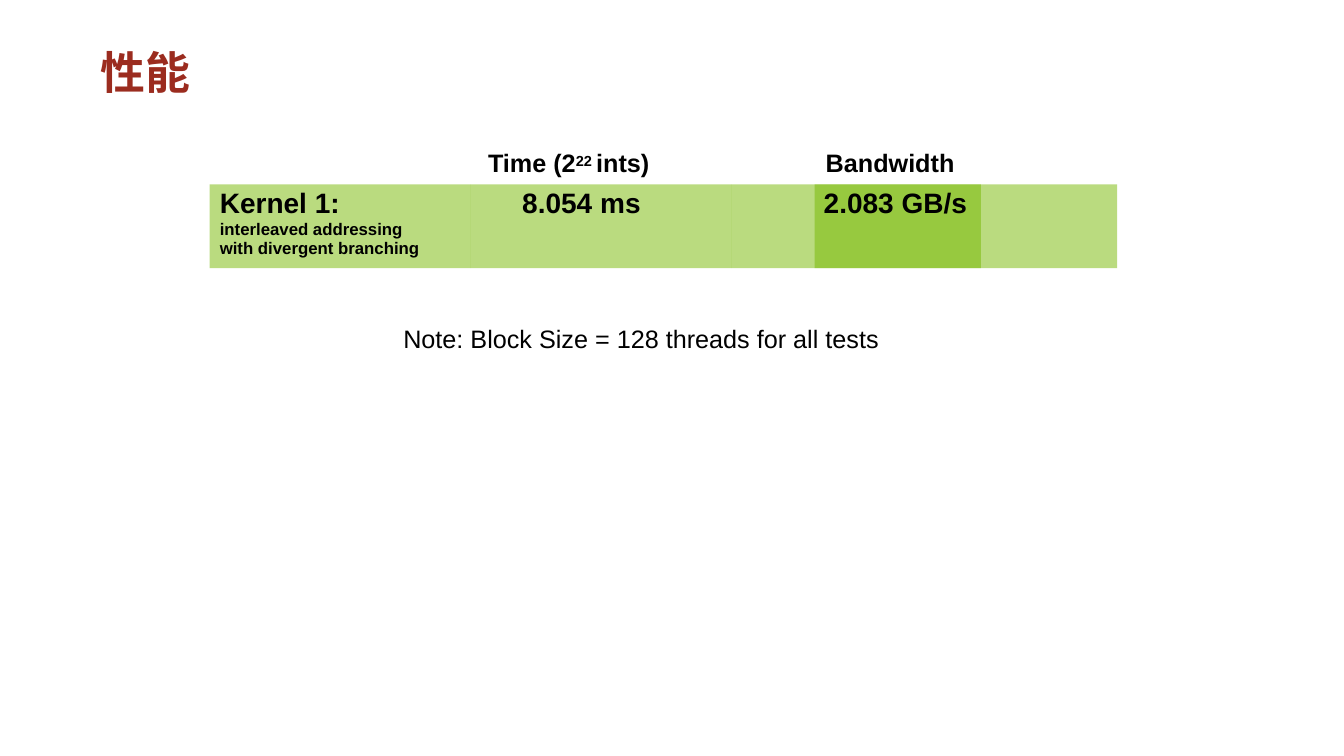
from dataclasses import dataclass

from lxml import etree
from pptx import Presentation
from pptx.dml.color import RGBColor
from pptx.enum.shapes import MSO_SHAPE
from pptx.enum.text import MSO_ANCHOR, PP_ALIGN
from pptx.oxml.ns import qn
from pptx.util import Inches, Pt

RECTANGLE = MSO_SHAPE.RECTANGLE
TOP, MIDDLE = MSO_ANCHOR.TOP, MSO_ANCHOR.MIDDLE
LEFT = PP_ALIGN.LEFT
TITLE_ONLY = 5
GREEN, RED, BLACK = "76B800", "9B2C1F", "000000"
NO_STYLE_NO_GRID = "{2D5ABB26-0587-4C30-8999-92F81FD0307C}"
ROW_TOP, ROW_HEIGHT = 1.83, 0.83


@dataclass
class Label:
    left: float
    top: float
    width: float
    pieces: list[str]
    bold: bool = True
    superscript: int = -1


@dataclass
class Column:
    width: float
    indent: float
    value: str
    detail: str = ""


LABELS = [
    Label(4, 3.2, 4.9, ["Note: Block Size = 128 threads for all tests"], bold=False),
    Label(8.19, 1.45, 1.4, ["Bandwidth"]),
    Label(4.84, 1.45, 1.75, ["Time (2", "22 ", "ints)"], superscript=1),
]
COLUMNS = [
    Column(2.59, 0.1, "Kernel 1:", "interleaved addressing with divergent branching"),
    Column(2.59, 0.51, "8.054 ms"),
    Column(2.47, 0.91, "2.083 GB/s"),
]


def color(hex_value: str) -> RGBColor:
    return RGBColor.from_string(hex_value)


def fill_half_transparent(fill, parent) -> None:
    """Fill with green at 50 % opacity; parent holds the fill's XML."""
    fill.solid()
    fill.fore_color.rgb = color(GREEN)
    green = parent.find(qn("a:solidFill")).find(qn("a:srgbClr"))
    etree.SubElement(green, qn("a:alpha")).set("val", "50000")


def add_text(paragraph, text: str, *, size: float, font: str = "Arial",
             hex_color: str = BLACK, bold: bool = True, before: float = 0,
             superscript: bool = False) -> None:
    paragraph.alignment = LEFT
    paragraph.space_before = Pt(before)
    run = paragraph.add_run()
    run.text = text
    run.font.size = Pt(size)
    run.font.name = font
    run.font.bold = bold
    run.font.color.rgb = color(hex_color)
    if superscript:
        run.font._element.set("baseline", "25000")


def set_frame(frame, anchor, top_margin: float = 0) -> None:
    frame.word_wrap = True
    frame.vertical_anchor = anchor
    frame.margin_left = frame.margin_right = frame.margin_bottom = 0
    frame.margin_top = Inches(top_margin)


def add_title(slide, text: str) -> None:
    title = slide.shapes.title
    title.left, title.top = Inches(1), Inches(0.44)
    title.width, title.height = Inches(11.33), Inches(0.54)
    set_frame(title.text_frame, MIDDLE)
    add_text(title.text_frame.paragraphs[0], text, size=32,
             font="Courier New", hex_color=RED)


def add_band(slide) -> None:
    band = slide.shapes.add_shape(RECTANGLE, Inches(8.08), Inches(ROW_TOP),
                                  Inches(3), Inches(ROW_HEIGHT))
    band.shadow.inherit = False
    band.line.fill.background()
    fill_half_transparent(band.fill, band._element.spPr)


def add_results(slide) -> None:
    width = sum(column.width for column in COLUMNS)
    frame = slide.shapes.add_table(1, len(COLUMNS), Inches(2.08), Inches(ROW_TOP),
                                   Inches(width), Inches(ROW_HEIGHT))
    table = frame.table
    table.first_row = table.horz_banding = False
    table._tbl.tblPr.find(qn("a:tableStyleId")).text = NO_STYLE_NO_GRID
    for index, column in enumerate(COLUMNS):
        table.columns[index].width = Inches(column.width)
        cell = table.cell(0, index)
        cell.margin_left, cell.margin_top = Inches(column.indent), Inches(0.04)
        cell.margin_right = Inches(0.4) if column.detail else 0
        cell.margin_bottom = 0
        fill_half_transparent(cell.fill, cell._tc.tcPr)
        add_text(cell.text_frame.paragraphs[0], column.value, size=20, before=3)
        if column.detail:
            add_text(cell.text_frame.add_paragraph(), column.detail, size=12, before=0.2)


def add_label(slide, label: Label) -> None:
    box = slide.shapes.add_textbox(Inches(label.left), Inches(label.top),
                                   Inches(label.width), Inches(0.33))
    set_frame(box.text_frame, TOP, top_margin=0.01)
    for index, piece in enumerate(label.pieces):
        add_text(box.text_frame.paragraphs[0], piece, size=18, bold=label.bold,
                 before=1, superscript=index == label.superscript)


def main() -> None:
    presentation = Presentation()
    presentation.slide_width = Inches(13.33)
    presentation.slide_height = Inches(7.5)
    slide = presentation.slides.add_slide(presentation.slide_layouts[TITLE_ONLY])
    add_title(slide, "性能")
    add_band(slide)
    add_results(slide)
    for label in LABELS:
        add_label(slide, label)
    presentation.save("out.pptx")


if __name__ == "__main__":
    main()
